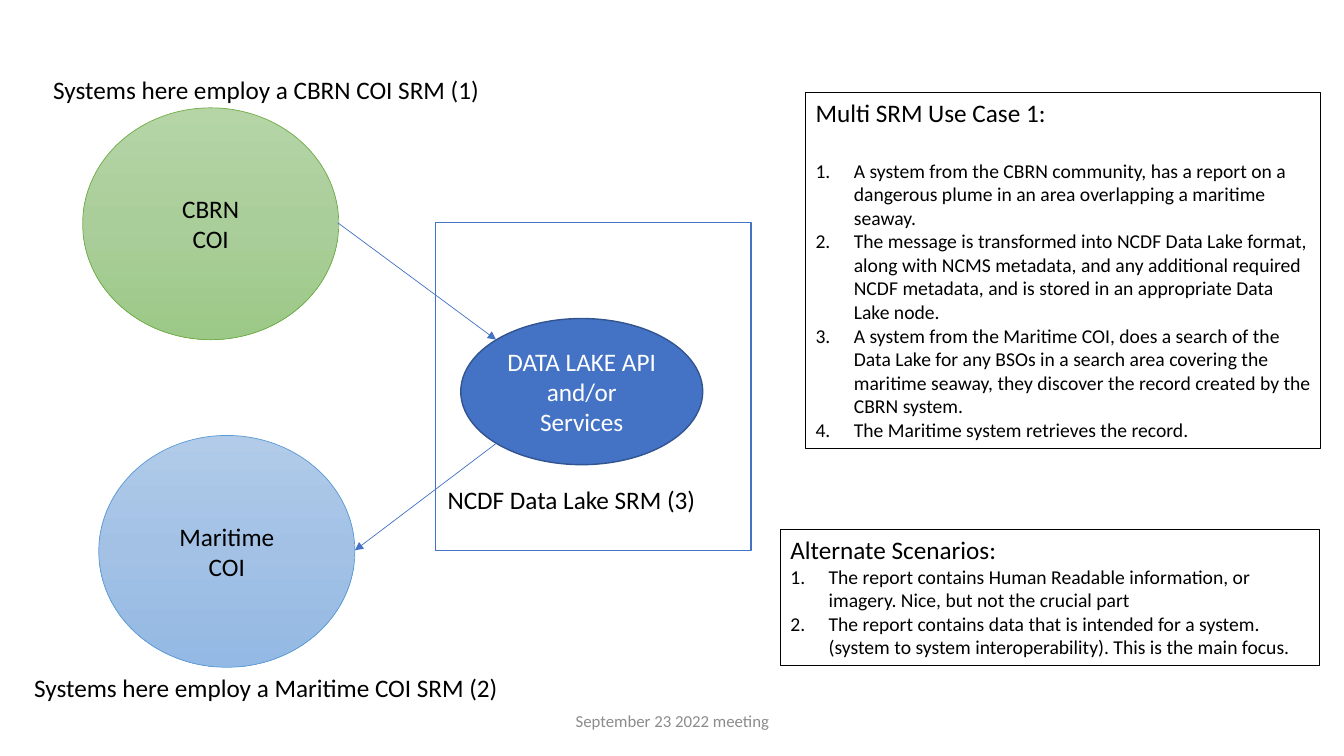
import copy
import pptx
import pptx.util
import pptx.dml.color
import pptx.enum.shapes
import pptx.enum.text
import pptx.oxml.ns
import pptx.oxml.xmlchemy

PX = 9144
FONT = "Calibri"
HUES = {
    "white": "FFFFFF", "black": "000000", "gray": "8C8C8C",
    "blue": "4472C4", "navy": "325491", "sky": "5B9BD5", "green": "70AD47",
}
FADES = {
    "sky": ["B1CBE9", "A3C1E5", "93B9E4"],
    "green": ["B5D5A7", "AACE9A", "9CC987"],
}
SHAPE = pptx.enum.shapes.MSO_SHAPE
ANCHOR = pptx.enum.text.MSO_ANCHOR
ALIGN = pptx.enum.text.PP_ALIGN
FIT = pptx.enum.text.MSO_AUTO_SIZE
qn = pptx.oxml.ns.qn
make = pptx.oxml.xmlchemy.OxmlElement


def rgb(code):
    return pptx.dml.color.RGBColor.from_string(code)


def emu(box):
    return [n * PX for n in box]


def style(para, size, hue):
    for run in para.runs:
        run.font.size = pptx.util.Pt(size)
        run.font.name = FONT
        run.font.color.rgb = rgb(HUES[hue])


def write(frame, lines, hue="black"):
    frame.text = "\n".join(lines)
    frame.word_wrap = True
    frame.vertical_anchor = ANCHOR.MIDDLE
    for para in frame.paragraphs:
        para.alignment = ALIGN.CENTER
        style(para, 18, hue)


def add_form(slide, kind, box, edge, width, fill=None):
    form = slide.shapes.add_shape(kind, *emu(box))
    form.shadow.inherit = False
    form.line.color.rgb = rgb(HUES[edge])
    form.line.width = pptx.util.Pt(width)
    if fill:
        form.fill.solid()
        form.fill.fore_color.rgb = rgb(HUES[fill])
    else:
        form.fill.background()
    return form


def add_label(slide, box, text):
    label = slide.shapes.add_textbox(*emu(box))
    frame = label.text_frame
    frame.text = text
    frame.word_wrap = False
    frame.auto_size = FIT.SHAPE_TO_FIT_TEXT
    style(frame.paragraphs[0], 18, "black")


def add_group(slide, box, name, hue):
    disc = add_form(slide, SHAPE.OVAL, box, hue, 0.5)
    disc.fill.gradient()
    disc.fill.gradient_angle = 270
    stops = disc.element.spPr.find(".//" + qn("a:gsLst"))
    stops.insert(1, copy.deepcopy(stops[0]))
    for step, stop in enumerate(disc.fill.gradient_stops):
        stop.color.rgb = rgb(FADES[hue][step])
        stop.position = step / 2
    write(disc.text_frame, [name, "COI"])


def add_lake(slide, box):
    left, top, wide, high = box
    add_form(slide, SHAPE.RECTANGLE, box, "blue", 1, "white")
    core = add_form(slide, SHAPE.OVAL, (left + 25, top + 95, 240, 145),
                    "navy", 1, "blue")
    write(core.text_frame, ["DATA LAKE API and/or Services"], "white")
    add_label(slide, (left + 2, top + 255, 269, 40), "NCDF Data Lake SRM (3)")


def add_arrow(slide, start, end):
    kind = pptx.enum.shapes.MSO_CONNECTOR.STRAIGHT
    arrow = slide.shapes.add_connector(kind, *emu(start + end))
    arrow.line.color.rgb = rgb(HUES["blue"])
    arrow.line.width = pptx.util.Pt(0.5)
    props = arrow.element.spPr
    tip = make("a:tailEnd")
    tip.set("type", "triangle")
    props.find(qn("a:ln")).append(tip)
    props.append(make("a:effectLst"))


def add_notes(slide, box, title, items, gap=0):
    panel = add_form(slide, SHAPE.RECTANGLE, box, "black", 0.75)
    frame = panel.text_frame
    frame.text = "\n".join([title] + items)
    frame.word_wrap = True
    frame.vertical_anchor = ANCHOR.TOP
    frame.auto_size = FIT.SHAPE_TO_FIT_TEXT
    head, *rows = frame.paragraphs
    head.alignment = ALIGN.LEFT
    head.space_after = pptx.util.Pt(gap)
    style(head, 18, "black")
    for row in rows:
        row.alignment = ALIGN.LEFT
        style(row, 14, "black")
        props = row._p.get_or_add_pPr()
        props.set("marL", str(38 * PX))
        props.set("indent", str(-38 * PX))
        mark = make("a:buAutoNum")
        mark.set("type", "arabicPeriod")
        props.append(mark)


def add_foot(slide, box, text):
    foot = slide.shapes.add_textbox(*emu(box))
    write(foot.text_frame, [text])
    style(foot.text_frame.paragraphs[0], 12, "gray")


def main():
    deck = pptx.Presentation()
    deck.slide_width, deck.slide_height = emu((1333, 750))
    slide = deck.slides.add_slide(deck.slide_layouts[6])
    add_lake(slide, (432, 221, 313, 325))
    add_group(slide, (98, 432, 254, 230), "Maritime", "sky")
    add_group(slide, (82, 107, 254, 230), "CBRN", "green")
    add_arrow(slide, (335, 221), (492, 337))
    add_arrow(slide, (492, 440), (352, 546))
    add_notes(slide, (799, 92, 511, 353), "Multi SRM Use Case 1:", [
        "A system from the CBRN community, has a report on a dangerous plume "
        "in an area overlapping a maritime seaway.",
        "The message is transformed into NCDF Data Lake format, along with "
        "NCMS metadata, and any additional required NCDF metadata, and is "
        "stored in an appropriate Data Lake node.",
        "A system from the Maritime COI, does a search of the Data Lake for "
        "any BSOs in a search area covering the maritime seaway, they "
        "discover the record created by the CBRN system.",
        "The Maritime system retrieves the record.",
    ], 22)
    add_notes(slide, (774, 525, 535, 135), "Alternate Scenarios:", [
        "The report contains Human Readable information, or imagery. Nice, "
        "but not the crucial part",
        "The report contains data that is intended for a system. (system to "
        "system interoperability). This is the main focus.",
    ])
    add_label(slide, (43, 69, 447, 40), "Systems here employ a CBRN COI SRM (1)")
    add_label(slide, (24, 662, 485, 40),
              "Systems here employ a Maritime COI SRM (2)")
    add_foot(slide, (442, 695, 450, 40), "September 23 2022 meeting")
    deck.save("out.pptx")


if __name__ == "__main__":
    main()
